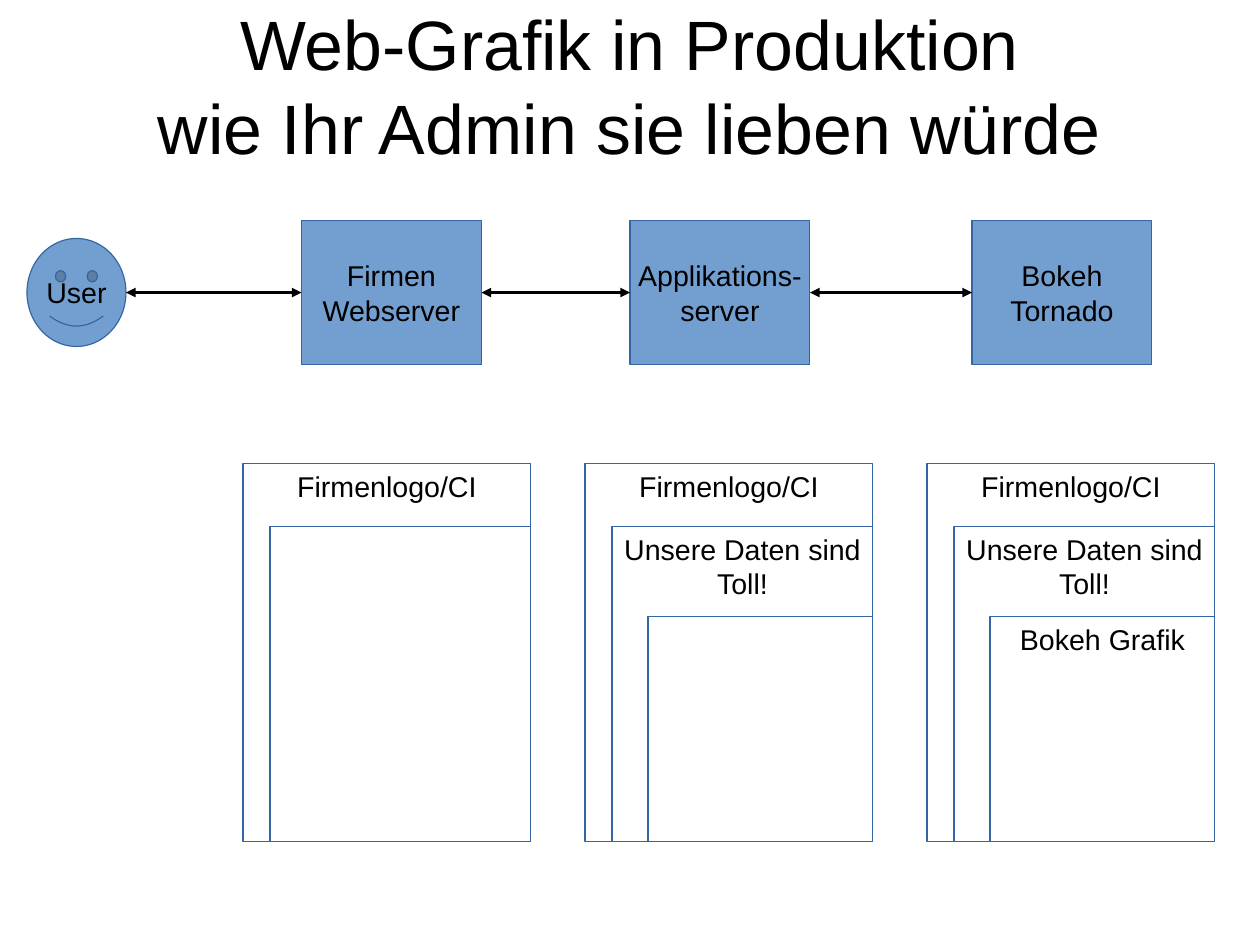
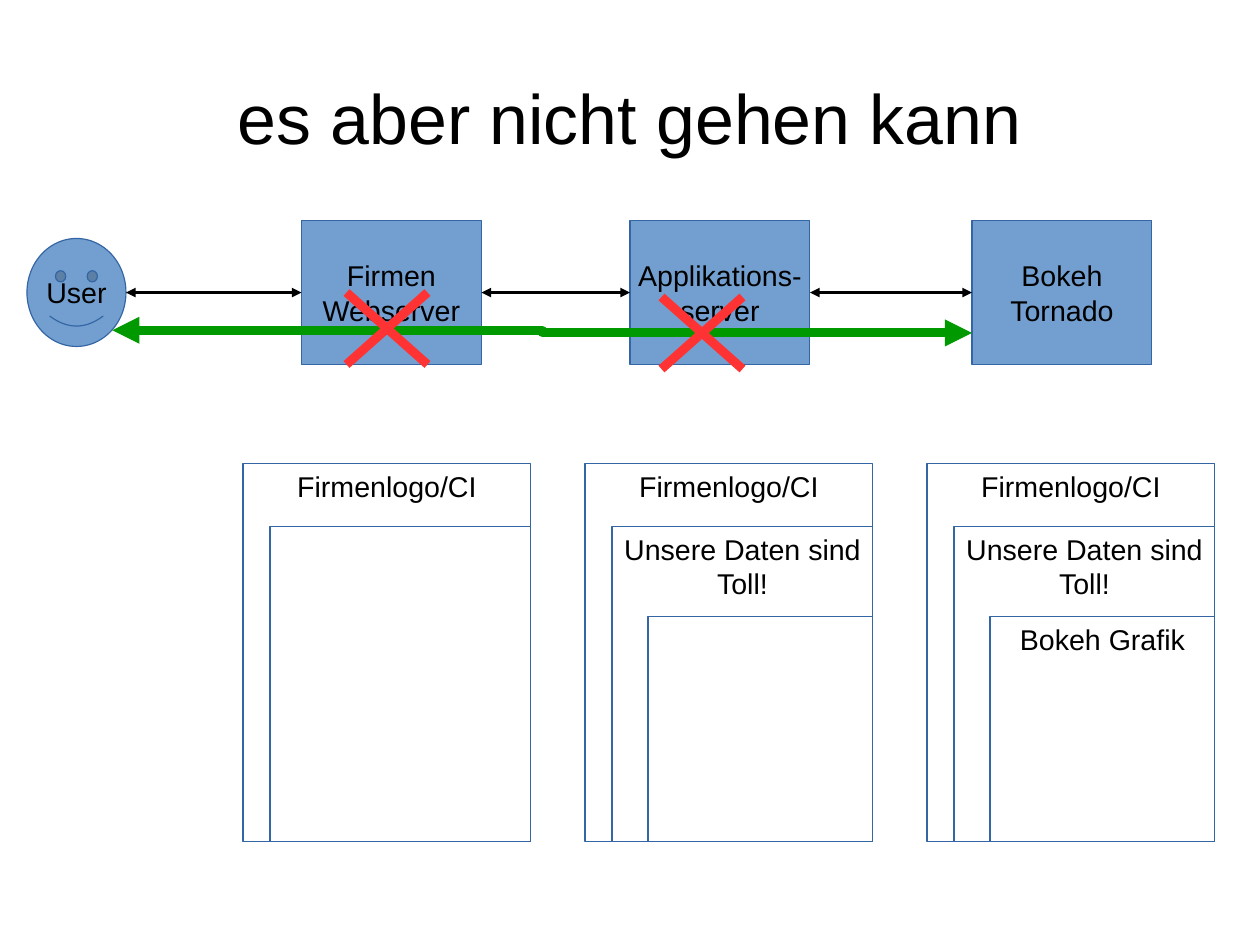
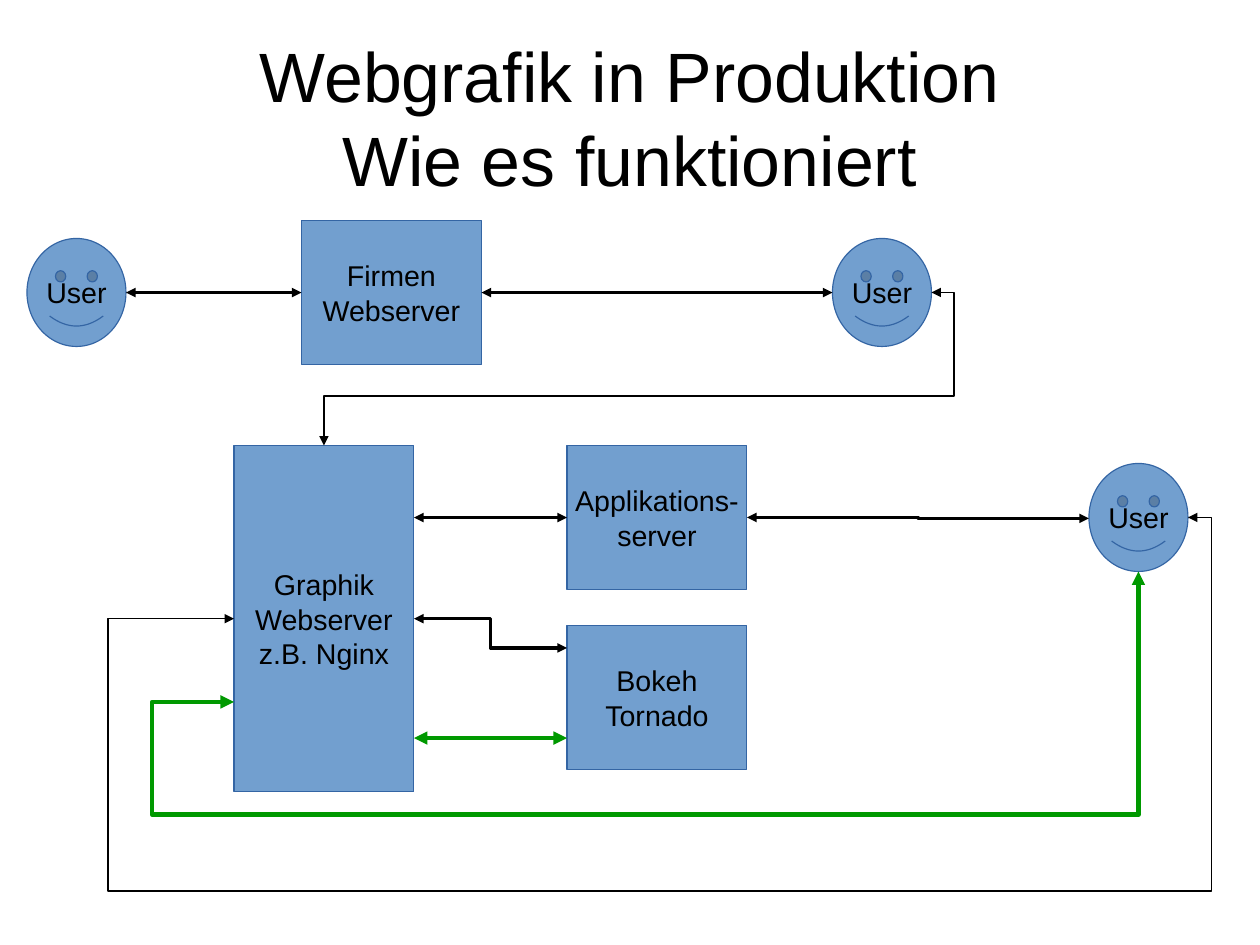
"""Builds three slides on serving web graphics in production."""
from dataclasses import dataclass

import pptx
import pptx.dml.color
import pptx.enum.shapes
import pptx.enum.text
import pptx.oxml.ns
import pptx.presentation
import pptx.shapes.base
import pptx.slide
import pptx.text.text
import pptx.util
from lxml import etree

COLUMNS, ROWS = 28, 21
CELL = pptx.util.Cm(1)
COLORS = {
    "ink": "000000",
    "node": "729FCF",
    "outline": "3465A4",
    "websocket": "009900",
    "blocked": "FF3333",
}
FONT = "Arial"
HAIRLINE, MEDIUM, THICK = 0, 2.83, 5.67
TOP = pptx.enum.text.MSO_ANCHOR.TOP
MIDDLE = pptx.enum.text.MSO_ANCHOR.MIDDLE
RECTANGLE = pptx.enum.shapes.MSO_SHAPE.RECTANGLE
SMILEY = pptx.enum.shapes.MSO_SHAPE.SMILEY_FACE
Point = tuple[float, float]


@dataclass(frozen=True)
class Node:
    label: str
    column: float
    row: float
    width: float = 4
    height: float = 3.2
    outline: int = RECTANGLE


@dataclass(frozen=True)
class Link:
    points: tuple[Point, ...]
    color: str = "ink"
    weight: float = HAIRLINE
    arrows: bool = True


def user(column: float, row: float) -> Node:
    return Node("User", column, row, 2.2, 2.4, SMILEY)


WEB_SERVER = Node("Firmen\nWebserver", 6.7, 4.9)
FIRST_USER = user(0.6, 5.3)
USER_LINK = Link(((2.8, 6.5), (6.7, 6.5)))
CHAIN_NODES = (
    WEB_SERVER,
    Node("Applikations-\nserver", 14, 4.9),
    Node("Bokeh\nTornado", 21.6, 4.9),
    FIRST_USER,
)
CHAIN_LINKS = (
    USER_LINK,
    Link(((10.7, 6.5), (14, 6.5))),
    Link(((18, 6.5), (21.6, 6.5))),
)
PROXY_NODES = (
    WEB_SERVER,
    Node("Applikations-\nserver", 12.6, 9.9),
    Node("Bokeh\nTornado", 12.6, 13.9),
    Node("Graphik\nWebserver\nz.B. Nginx", 5.2, 9.9, height=7.7),
    FIRST_USER,
    user(18.5, 5.3),
    user(24.2, 10.3),
)
PROXY_LINKS = (
    USER_LINK,
    Link(((10.7, 6.5), (18.5, 6.5))),
    Link(((9.2, 11.5), (12.6, 11.5))),
    Link(((9.2, 13.75), (12.6, 14.4))),
    Link(((16.6, 11.5), (24.2, 11.52))),
    Link(((20.7, 6.5), (21.2, 6.5), (21.2, 8.8), (7.2, 8.8), (7.2, 9.9))),
    Link(((26.4, 11.5), (26.92, 11.5), (26.92, 19.8), (2.4, 19.8),
          (2.4, 13.75), (5.2, 13.75))),
    Link(((25.3, 12.7), (25.3, 18.1), (3.38, 18.1), (3.38, 15.6), (5.2, 15.6)),
         "websocket", MEDIUM),
    Link(((12.6, 16.4), (9.2, 16.4)), "websocket", MEDIUM),
)
DIRECT_LINK = Link(((2.5, 7.34), (21.6, 7.4)), "websocket", THICK)
CROSSES = ((14.7, 6.6), (7.7, 6.5))
CROSS_WIDTH, CROSS_HEIGHT = 1.8, 1.6

PAGE_LEFT, PAGE_TOP, PAGE_STEP = 5.4, 10.3, 7.6
PAGE_WIDTH, PAGE_HEIGHT = 6.4, 8.4
FRAME_INSETS = ((0, 0), (0.6, 1.4), (1.4, 3.4))
PAGES = (
    ("Firmenlogo/CI", ""),
    ("Firmenlogo/CI", "Unsere Daten sind\nToll!", ""),
    ("Firmenlogo/CI", "Unsere Daten sind\nToll!", "Bokeh Grafik"),
)


def cells(count: float) -> int:
    return round(count * CELL)


def rgb(color: str) -> pptx.dml.color.RGBColor:
    return pptx.dml.color.RGBColor.from_string(COLORS[color])


def write_text(frame: pptx.text.text.TextFrame, text: str, *, size: float = 18,
               anchor: int = MIDDLE, wrap: bool = False,
               one_paragraph: bool = False) -> None:
    frame.word_wrap = wrap
    frame.auto_size = pptx.enum.text.MSO_AUTO_SIZE.NONE
    frame.vertical_anchor = anchor
    paragraph = frame.paragraphs[0]
    for index, line in enumerate(text.split("\n")):
        if index and one_paragraph:
            paragraph.add_line_break()
        elif index:
            paragraph = frame.add_paragraph()
        paragraph.alignment = pptx.enum.text.PP_ALIGN.CENTER
        run = paragraph.add_run()
        run.text = line
        run.font.name = FONT
        run.font.size = pptx.util.Pt(size)
        run.font.color.rgb = rgb("ink")


def add_titled_slide(deck: pptx.presentation.Presentation, text: str,
                     top: float = 0.84) -> pptx.slide.Slide:
    slide = deck.slides.add_slide(deck.slide_layouts[5])
    title = slide.shapes.title
    title.left, title.top = cells(COLUMNS * 0.05), cells(top)
    title.width, title.height = cells(COLUMNS * 0.9), cells(ROWS / 6)
    frame = title.text_frame
    frame.margin_left = frame.margin_right = 0
    frame.margin_top = frame.margin_bottom = 0
    write_text(frame, text, size=44, wrap=True, one_paragraph=True)
    return slide


def draw_node(slide: pptx.slide.Slide, node: Node, *, filled: bool = True,
              anchor: int = MIDDLE) -> None:
    shape = slide.shapes.add_shape(
        node.outline, cells(node.column), cells(node.row),
        cells(node.width), cells(node.height))
    shape.shadow.inherit = False
    if filled:
        shape.fill.solid()
        shape.fill.fore_color.rgb = rgb("node")
    else:
        shape.fill.background()
    shape.line.color.rgb = rgb("outline")
    shape.line.width = pptx.util.Pt(HAIRLINE)
    if node.label:
        write_text(shape.text_frame, node.label, anchor=anchor)


def draw_link(slide: pptx.slide.Slide, link: Link) -> None:
    corners = [(cells(column), cells(row)) for column, row in link.points]
    if len(corners) == 2:
        (left, top), (right, bottom) = corners
        kinds = pptx.enum.shapes.MSO_CONNECTOR
        bent = link.arrows and top != bottom
        route = slide.shapes.add_connector(
            kinds.ELBOW if bent else kinds.STRAIGHT, left, top, right, bottom)
        etree.SubElement(route.line._get_or_add_ln().getparent(),
                         pptx.oxml.ns.qn("a:effectLst"))
    else:
        builder = slide.shapes.build_freeform(*corners[0])
        builder.add_line_segments(corners[1:], close=False)
        route = builder.convert_to_shape()
        route.shadow.inherit = False
        route.fill.background()
    route.line.color.rgb = rgb(link.color)
    route.line.width = pptx.util.Pt(link.weight)
    if link.arrows:
        for end in ("a:headEnd", "a:tailEnd"):
            etree.SubElement(route.line._get_or_add_ln(),
                             pptx.oxml.ns.qn(end), type="triangle")


def draw_diagram(slide: pptx.slide.Slide, nodes: tuple[Node, ...],
                 links: tuple[Link, ...]) -> None:
    for node in nodes:
        draw_node(slide, node)
    for link in links:
        draw_link(slide, link)


def draw_pages(slide: pptx.slide.Slide) -> None:
    for index, captions in enumerate(PAGES):
        left = PAGE_LEFT + index * PAGE_STEP
        for caption, (inset, drop) in zip(captions, FRAME_INSETS):
            frame = Node(caption, left + inset, PAGE_TOP + drop,
                         PAGE_WIDTH - inset, PAGE_HEIGHT - drop)
            draw_node(slide, frame, filled=False, anchor=TOP)


def draw_cross(slide: pptx.slide.Slide, left: float, top: float) -> None:
    right, bottom = left + CROSS_WIDTH, top + CROSS_HEIGHT
    for stroke in (((left, top), (right, bottom)), ((right, top), (left, bottom))):
        draw_link(slide, Link(stroke, "blocked", THICK, arrows=False))


def main() -> None:
    deck = pptx.Presentation()
    deck.slide_width, deck.slide_height = cells(COLUMNS), cells(ROWS)

    wished = add_titled_slide(
        deck, "Web-Grafik in Produktion\nwie Ihr Admin sie lieben würde", top=0.13)
    draw_diagram(wished, CHAIN_NODES, CHAIN_LINKS)
    draw_pages(wished)

    failing = add_titled_slide(deck, "es aber nicht gehen kann")
    draw_diagram(failing, CHAIN_NODES, CHAIN_LINKS + (DIRECT_LINK,))
    draw_pages(failing)
    for left, top in CROSSES:
        draw_cross(failing, left, top)

    working = add_titled_slide(deck, "Webgrafik in Produktion\nWie es funktioniert")
    draw_diagram(working, PROXY_NODES, PROXY_LINKS)

    deck.save("out.pptx")


if __name__ == "__main__":
    main()
